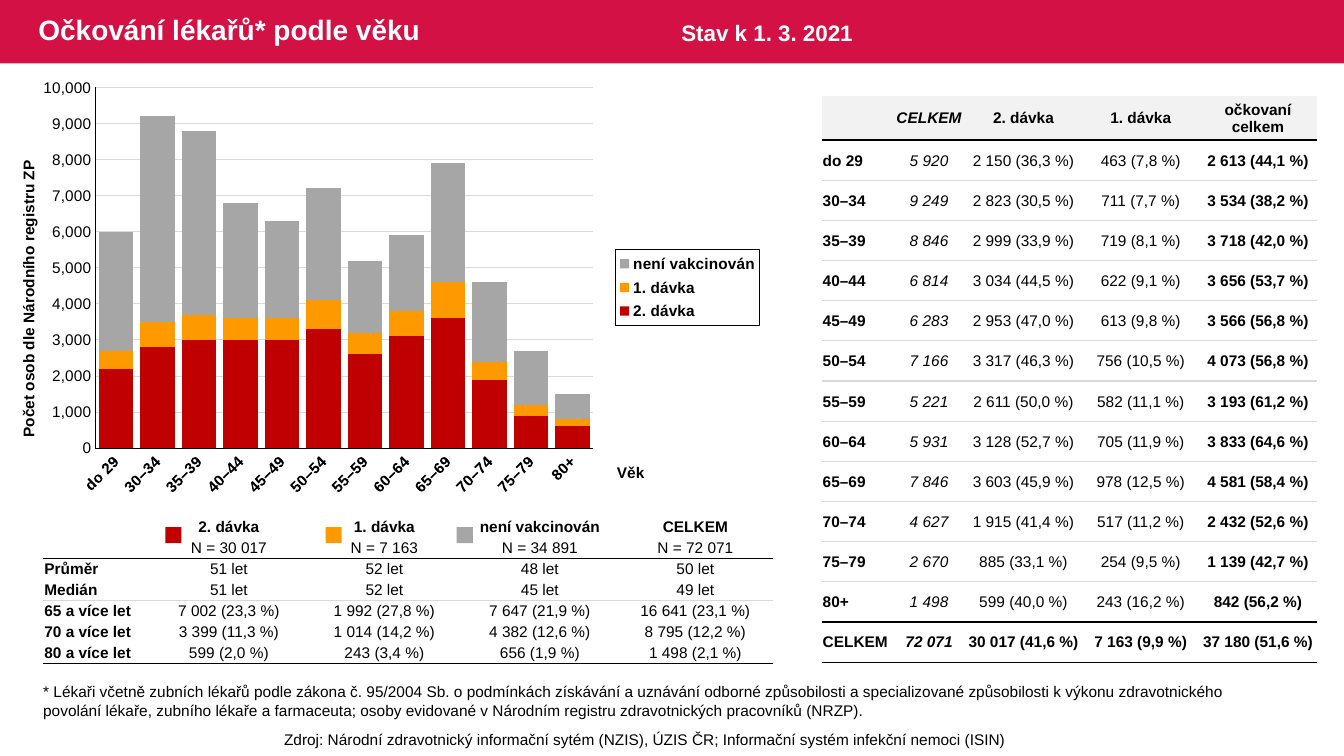
from lxml.etree import SubElement
from pptx import Presentation
from pptx.chart.data import CategoryChartData
from pptx.dml.color import RGBColor
from pptx.enum.chart import XL_CHART_TYPE, XL_LEGEND_POSITION, XL_TICK_MARK
from pptx.enum.shapes import MSO_SHAPE
from pptx.enum.text import MSO_ANCHOR, MSO_AUTO_SIZE, PP_ALIGN
from pptx.oxml import parse_xml
from pptx.oxml.ns import nsdecls, qn
from pptx.util import Pt

PX = 9144
COLORS = {
    "bar": "D31145", "white": "FFFFFF", "black": "000000", "grid": "D9D9D9", "header": "F2F2F2",
    "second": "C00000", "first": "FF9900", "none": "A6A6A6",
}
NO_TABLE_STYLE = "{2D5ABB26-0587-4C30-8999-92F81FD0307C}"

AGE_ROWS = [
    ["", "CELKEM", "2. dávka", "1. dávka", "očkovaní celkem"],
    ["do 29", "5 920", "2 150 (36,3 %)", "463 (7,8 %)", "2 613 (44,1 %)"],
    ["30–34", "9 249", "2 823 (30,5 %)", "711 (7,7 %)", "3 534 (38,2 %)"],
    ["35–39", "8 846", "2 999 (33,9 %)", "719 (8,1 %)", "3 718 (42,0 %)"],
    ["40–44", "6 814", "3 034 (44,5 %)", "622 (9,1 %)", "3 656 (53,7 %)"],
    ["45–49", "6 283", "2 953 (47,0 %)", "613 (9,8 %)", "3 566 (56,8 %)"],
    ["50–54", "7 166", "3 317 (46,3 %)", "756 (10,5 %)", "4 073 (56,8 %)"],
    ["55–59", "5 221", "2 611 (50,0 %)", "582 (11,1 %)", "3 193 (61,2 %)"],
    ["60–64", "5 931", "3 128 (52,7 %)", "705 (11,9 %)", "3 833 (64,6 %)"],
    ["65–69", "7 846", "3 603 (45,9 %)", "978 (12,5 %)", "4 581 (58,4 %)"],
    ["70–74", "4 627", "1 915 (41,4 %)", "517 (11,2 %)", "2 432 (52,6 %)"],
    ["75–79", "2 670", "885 (33,1 %)", "254 (9,5 %)", "1 139 (42,7 %)"],
    ["80+", "1 498", "599 (40,0 %)", "243 (16,2 %)", "842 (56,2 %)"],
    ["CELKEM", "72 071", "30 017 (41,6 %)", "7 163 (9,9 %)", "37 180 (51,6 %)"],
]
SUMMARY_ROWS = [
    ["", "2. dávka", "1. dávka", "není vakcinován", "CELKEM"],
    ["", "N = 30 017", "N = 7 163", "N = 34 891", "N = 72 071"],
    ["Průměr", "51 let", "52 let", "48 let", "50 let"],
    ["Medián", "51 let", "52 let", "45 let", "49 let"],
    ["65 a více let", "7 002 (23,3 %)", "1 992 (27,8 %)", "7 647 (21,9 %)", "16 641 (23,1 %)"],
    ["70 a více let", "3 399 (11,3 %)", "1 014 (14,2 %)", "4 382 (12,6 %)", "8 795 (12,2 %)"],
    ["80 a více let", "599 (2,0 %)", "243 (3,4 %)", "656 (1,9 %)", "1 498 (2,1 %)"],
]
FOOTNOTE = (
    "* Lékaři včetně zubních lékařů podle zákona č. 95/2004 Sb. o podmínkách získávání a uznávání "
    "odborné způsobilosti a specializované způsobilosti k výkonu zdravotnického povolání lékaře, "
    "zubního lékaře a farmaceuta; osoby evidované v Národním registru zdravotnických pracovníků (NRZP)."
)
SOURCE = (
    "Zdroj: Národní zdravotnický informační sytém (NZIS), ÚZIS ČR; "
    "Informační systém infekční nemoci (ISIN)"
)


def color(name):
    return RGBColor.from_string(COLORS[name])


def count(text):
    return int(text.split("(")[0].replace(" ", ""))


def chart_layout(x, y, width, height, inner=False):
    target = '<c:layoutTarget val="inner"/>' if inner else ""
    return parse_xml(
        f'<c:layout {nsdecls("c")}><c:manualLayout>{target}'
        '<c:xMode val="edge"/><c:yMode val="edge"/>'
        f'<c:x val="{x}"/><c:y val="{y}"/><c:w val="{width}"/><c:h val="{height}"/>'
        "</c:manualLayout></c:layout>"
    )


class SlideBuilder:
    font_name = "Arial"
    font_size = 11

    def __init__(self, slide):
        self.slide = slide
        self.shapes = slide.shapes

    def style(self, font, size=font_size, bold=False, italic=False, ink="black"):
        font.name, font.size = self.font_name, Pt(size)
        font.bold, font.italic = bold, italic
        font.color.rgb = color(ink)

    def rectangle(self, box, fill):
        shape = self.shapes.add_shape(MSO_SHAPE.RECTANGLE, *(PX * n for n in box))
        shape.shadow.inherit = False
        shape.fill.solid()
        shape.fill.fore_color.rgb = color(fill)
        shape.line.fill.background()
        return shape

    def title(self, box, text):
        bar = self.rectangle((0, 0, 1333, 63), "bar")
        self.shapes._spTree.insert(2, bar._element)
        title = self.shapes.title
        title.left, title.top, title.width, title.height = (PX * n for n in box)
        frame = title.text_frame
        frame.text = text
        frame.auto_size = MSO_AUTO_SIZE.NONE
        frame.vertical_anchor = MSO_ANCHOR.MIDDLE
        paragraph = frame.paragraphs[0]
        paragraph.alignment = PP_ALIGN.LEFT
        paragraph.line_spacing = 0.9
        self.style(paragraph.font, 20, True, ink="white")

    def text(self, box, text, align=PP_ALIGN.LEFT, wrap=True, rotation=0, **style):
        shape = self.shapes.add_textbox(*(PX * n for n in box))
        shape.rotation = rotation
        frame = shape.text_frame
        frame.text = text
        frame.word_wrap = wrap
        frame.auto_size = MSO_AUTO_SIZE.SHAPE_TO_FIT_TEXT
        paragraph = frame.paragraphs[0]
        paragraph.alignment = align
        self.style(paragraph.font, **style)

    def axis(self, axis, bold):
        axis.major_tick_mark = axis.minor_tick_mark = XL_TICK_MARK.NONE
        axis.format.line.color.rgb = color("black")
        axis.format.line.width = Pt(0.75)
        self.style(axis.tick_labels.font, bold=bold)

    def stacked_chart(self, box, categories, series):
        data = CategoryChartData()
        data.categories = categories
        for name, values, _ in series:
            data.add_series(name, [round(value, -2) for value in values])
        chart = self.shapes.add_chart(XL_CHART_TYPE.COLUMN_STACKED, *(PX * n for n in box), data).chart
        chart.has_title = False
        self.style(chart.font, bold=True)
        plot = chart.plots[0]
        plot.gap_width, plot.overlap, plot.vary_by_categories = 20, 100, False
        for column, (_, _, fill) in zip(plot.series, series):
            column.format.fill.solid()
            column.format.fill.fore_color.rgb = color(fill)

        self.axis(chart.category_axis, True)
        chart.category_axis._element.find(qn("c:txPr")).find(qn("a:bodyPr")).set("rot", "-2700000")
        values = chart.value_axis
        self.axis(values, False)
        values.minimum_scale, values.maximum_scale, values.major_unit = 0, 10000, 1000
        values.tick_labels.number_format = "#,##0"
        values.tick_labels.number_format_is_linked = False
        values.major_gridlines.format.line.color.rgb = color("grid")
        values.major_gridlines.format.line.width = Pt(0.75)

        chart.has_legend = True
        legend = chart.legend
        legend.position = XL_LEGEND_POSITION.RIGHT
        legend.include_in_layout = False
        self.style(legend.font, bold=True)
        element = legend._element
        for layout in element.findall(qn("c:layout")):
            element.remove(layout)
        element.find(qn("c:overlay")).addprevious(chart_layout(0.783, 0.394, 0.198, 0.174))
        element.find(qn("c:txPr")).addprevious(parse_xml(
            f'<c:spPr {nsdecls("c", "a")}><a:ln w="9525"><a:solidFill>'
            f'<a:srgbClr val="{COLORS["black"]}"/></a:solidFill></a:ln></c:spPr>'
        ))
        area = chart._chartSpace.chart.plotArea
        for layout in area.findall(qn("c:layout")):
            area.remove(layout)
        area.insert(0, chart_layout(0.066, 0.027, 0.686, 0.819, inner=True))

    def border(self, cell, side, ink):
        line = SubElement(cell._tc.get_or_add_tcPr(), qn(f"a:{side}"), w=str(Pt(1)))
        if ink:
            SubElement(SubElement(line, qn("a:solidFill")), qn("a:srgbClr"), val=COLORS[ink])
        else:
            SubElement(line, qn("a:noFill"))

    def table(self, box, first_widths, first_height, rows, edges, bold_rows, bold_columns,
              italic_columns=(), header_fill=None):
        columns = len(rows[0])
        table = self.shapes.add_table(len(rows), columns, *(PX * n for n in box)).table
        table.first_row = table.horz_banding = False
        table._tbl.tblPr.find(qn("a:tableStyleId")).text = NO_TABLE_STYLE
        other_width = PX * (box[2] - sum(first_widths)) // (columns - len(first_widths))
        other_height = PX * (box[3] - first_height) // (len(rows) - 1)
        for c, column in enumerate(table.columns):
            column.width = PX * first_widths[c] if c < len(first_widths) else other_width
        for r, row in enumerate(rows):
            table.rows[r].height = other_height if r else PX * first_height
            for c, text in enumerate(row):
                cell = table.cell(r, c)
                cell.text = text
                cell.vertical_anchor = MSO_ANCHOR.MIDDLE
                cell.margin_left = cell.margin_right = cell.margin_top = PX
                cell.margin_bottom = 0
                self.border(cell, "lnT", edges[r])
                self.border(cell, "lnB", edges[r + 1])
                if r == 0 and header_fill:
                    cell.fill.solid()
                    cell.fill.fore_color.rgb = color(header_fill)
                else:
                    cell.fill.background()
                paragraph = cell.text_frame.paragraphs[0]
                paragraph.alignment = PP_ALIGN.CENTER if c else PP_ALIGN.LEFT
                self.style(paragraph.font, bold=r in bold_rows or c in bold_columns,
                           italic=c in italic_columns)
                if not text:
                    SubElement(paragraph._p, qn("a:endParaRPr"), sz=str(self.font_size * 100))


def main():
    presentation = Presentation()
    presentation.slide_width, presentation.slide_height = 1333 * PX, 750 * PX
    builder = SlideBuilder(presentation.slides.add_slide(presentation.slide_layouts[5]))

    builder.title((28, 0, 813, 63), "Očkování lékařů* podle věku")
    builder.text((187, 719, 906, 29), SOURCE, PP_ALIGN.CENTER)
    builder.text((666, 14, 220, 37), "Stav k 1. 3. 2021", size=16, bold=True, ink="white")
    builder.text((33, 672, 1253, 47), FOOTNOTE)

    ages = AGE_ROWS[1:-1]
    second = [count(row[2]) for row in ages]
    first = [count(row[3]) for row in ages]
    unvaccinated = [count(row[1]) - count(row[4]) for row in ages]
    builder.stacked_chart((43, 75, 724, 437), [row[0] for row in ages], [
        ("2. dávka", second, "second"),
        ("1. dávka", first, "first"),
        ("není vakcinován", unvaccinated, "none"),
    ])
    builder.text((-120, 281, 297, 29), "Počet osob dle Národního registru ZP",
                 wrap=False, rotation=270, bold=True)
    builder.text((602, 455, 48, 29), "Věk", wrap=False, bold=True)

    builder.table((43, 512, 724, 146), [107], 21, SUMMARY_ROWS,
                  [None, None, "black", None, "grid", None, None, "black"], {0}, {0})
    for left, fill in ((164, "second"), (323, "first"), (453, "none")):
        builder.rectangle((left, 523, 16, 16), fill)
    builder.table((815, 95, 491, 562), [71, 71], 44, AGE_ROWS,
                  [None, "black"] + ["grid"] * 11 + ["black"] * 2, {0, 13}, {0, 4}, {1}, "header")

    presentation.save("out.pptx")


if __name__ == "__main__":
    main()
